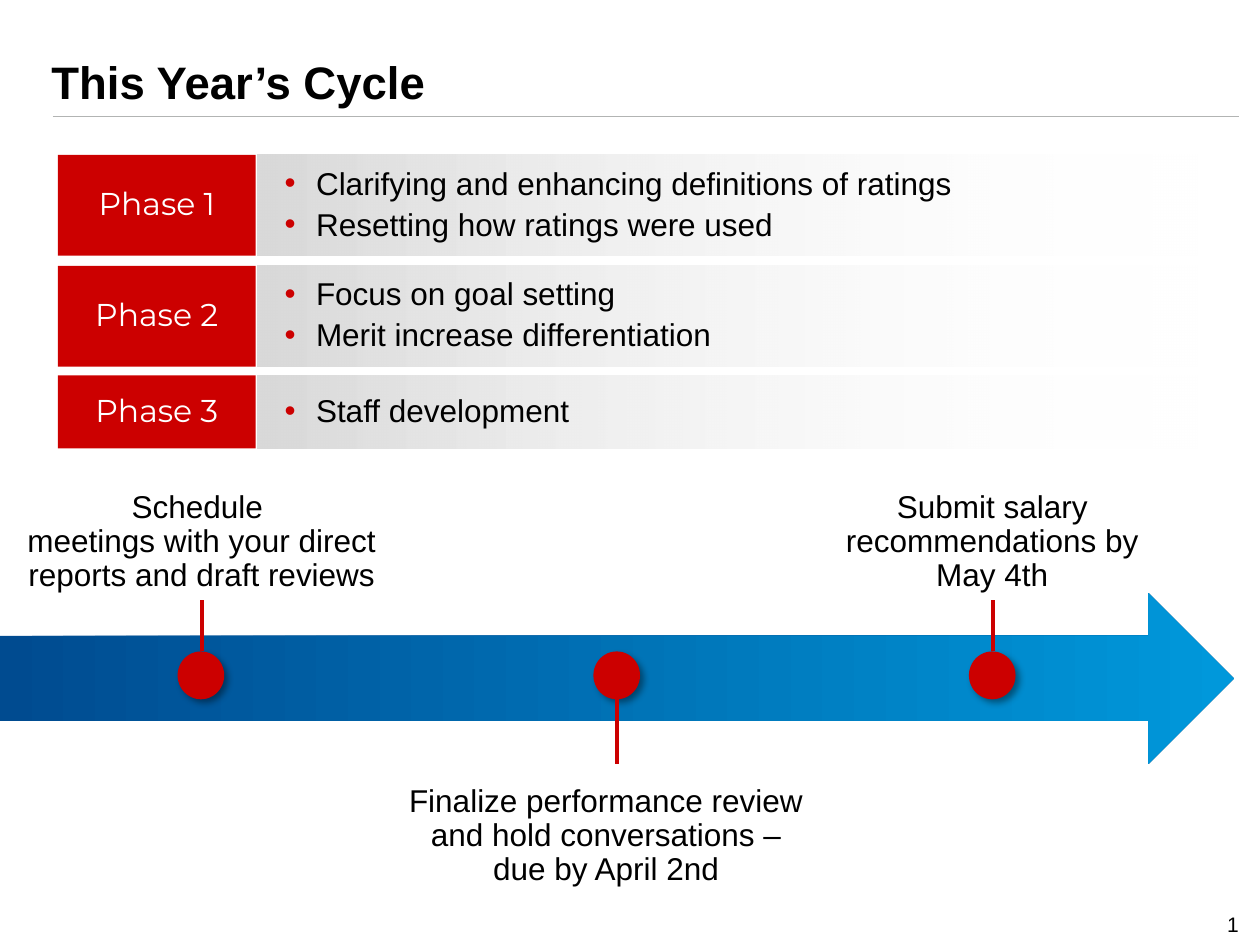
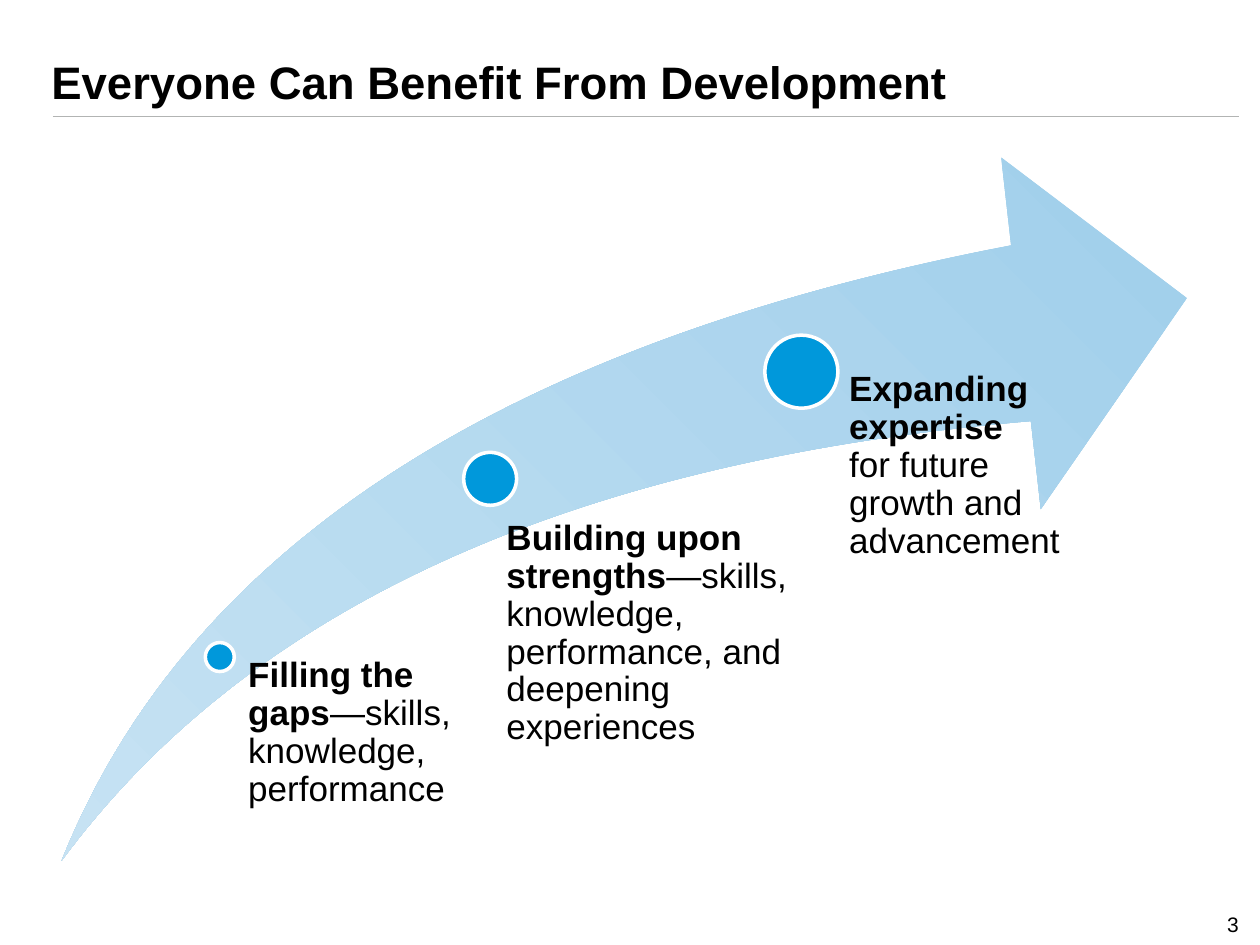
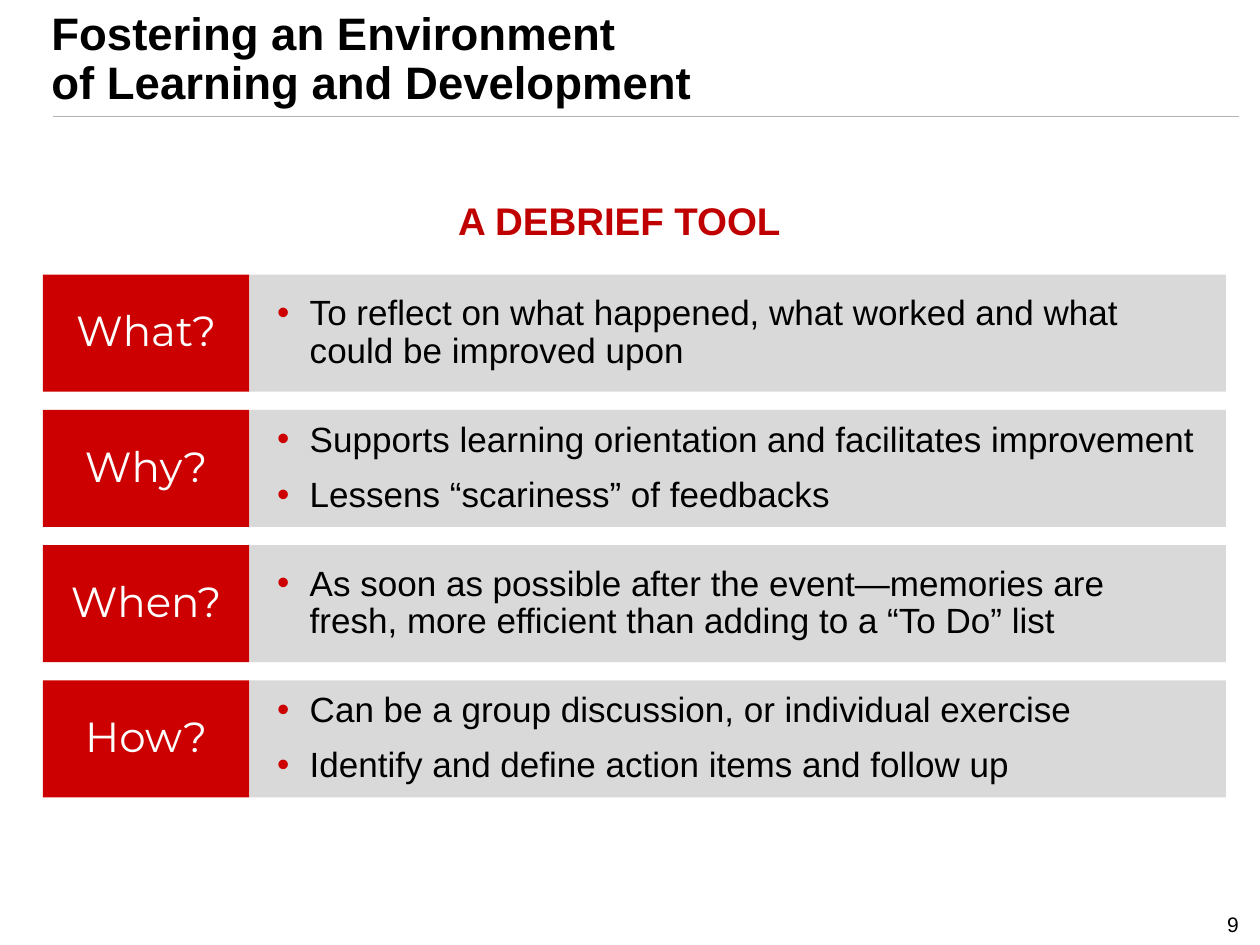
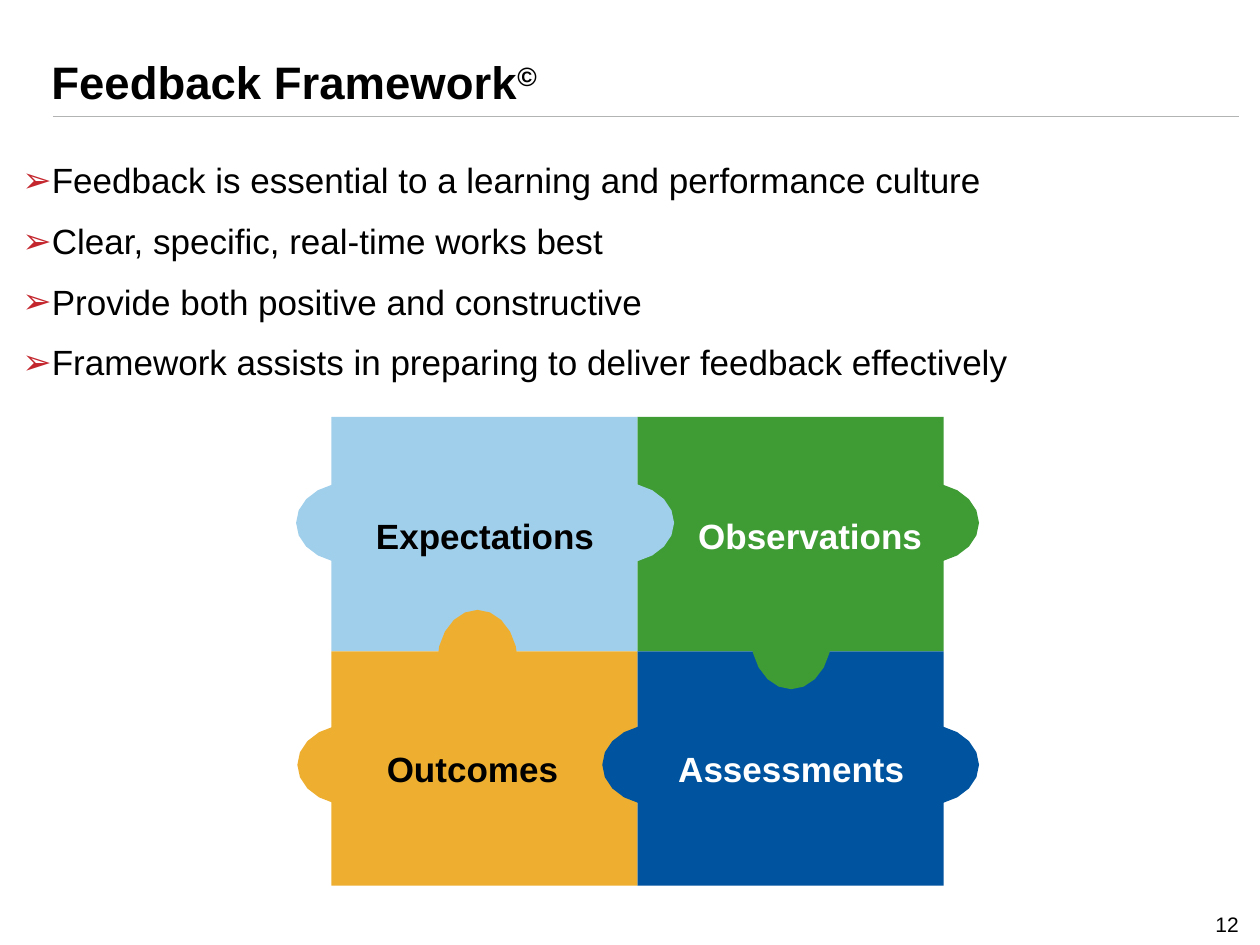
import math

from lxml import etree
from pptx import Presentation
from pptx.dml.color import RGBColor
from pptx.enum.shapes import MSO_CONNECTOR, MSO_SHAPE
from pptx.enum.text import MSO_ANCHOR, PP_ALIGN
from pptx.oxml.ns import qn
from pptx.util import Inches, Pt

RECTANGLE, OVAL = MSO_SHAPE.RECTANGLE, MSO_SHAPE.OVAL
RIGHT_ARROW, SWOOSH = MSO_SHAPE.RIGHT_ARROW, MSO_SHAPE.SWOOSH_ARROW
STRAIGHT = MSO_CONNECTOR.STRAIGHT
LEFT, CENTER, RIGHT = PP_ALIGN.LEFT, PP_ALIGN.CENTER, PP_ALIGN.RIGHT
TOP, MIDDLE, BOTTOM = MSO_ANCHOR.TOP, MSO_ANCHOR.MIDDLE, MSO_ANCHOR.BOTTOM

# Shared look
BLACK, WHITE = "000000", "FFFFFF"
RED, DARK_RED, BULLET_RED = "CC0000", "C00000", "C4262E"
GRAY, RULE_GRAY = "D9D9D9", "B2B4B3"
NAVY, BLUE, SKY, PALE_SKY = "004B90", "0098DB", "A0CFEB", "C6E2F3"
GREEN, ROYAL, AMBER = "3F9C35", "00549F", "EEAF30"
BODY_FONT, LABEL_FONT = "Arial", "Montserrat"
LINE_SPACING = 0.9


def rgb(color):
    return RGBColor.from_string(color)


def set_attributes(target, values):
    for name, value in values.items():
        setattr(target, name, value)


# Text
def add_run(paragraph, text, size, color=BLACK, bold=False, font=BODY_FONT, baseline=None):
    for index, line in enumerate(text.split("\n")):
        if index:
            paragraph.add_line_break()
        if line:
            run = paragraph.add_run()
            run.text = line
            set_attributes(run.font, {"name": font, "size": Pt(size), "bold": bold})
            run.font.color.rgb = rgb(color)
            if baseline:
                run.font._element.set("baseline", str(baseline * 1000))


def add_bullet(paragraph, character, color, left, hanging):
    properties = paragraph._p.get_or_add_pPr()
    properties.set("marL", str(Inches(left)))
    properties.set("indent", str(-Inches(hanging)))
    bullet_color = etree.SubElement(properties, qn("a:buClr"))
    etree.SubElement(bullet_color, qn("a:srgbClr"), val=color)
    etree.SubElement(properties, qn("a:buFont"), typeface=BODY_FONT)
    etree.SubElement(properties, qn("a:buChar"), char=character)


def write(shape, paragraphs, size, align=LEFT, anchor=TOP, space=0, bullet=None,
          left_inset=None, **run_format):
    """Each paragraph is a string or a list of (text, format) runs."""
    frame = shape.text_frame
    set_attributes(frame, {"word_wrap": True, "vertical_anchor": anchor})
    if left_inset is not None:
        set_attributes(frame, {"margin_left": Inches(left_inset), "margin_top": 0,
                               "margin_right": 0, "margin_bottom": 0})
    for index, content in enumerate(paragraphs):
        paragraph = frame.add_paragraph() if index else frame.paragraphs[0]
        set_attributes(paragraph, {"alignment": align, "line_spacing": LINE_SPACING,
                                   "space_before": Pt(space)})
        if bullet:
            add_bullet(paragraph, *bullet)
        runs = [(content, {})] if isinstance(content, str) else content
        for text, extra in runs:
            add_run(paragraph, text, size, **{**run_format, **extra})


def add_text(slide, box, paragraphs, size, **text_format):
    shape = slide.shapes.add_textbox(*map(Inches, box))
    write(shape, paragraphs, size, **text_format)


# Shapes
def paint(shape, fill, line=None):
    """A fill is None, one colour, or (start, end, angle) for a gradient."""
    shape.shadow.inherit = False
    if fill is None:
        shape.fill.background()
    elif isinstance(fill, str):
        shape.fill.solid()
        shape.fill.fore_color.rgb = rgb(fill)
    else:
        *colors, angle = fill
        shape.fill.gradient()
        shape.fill.gradient_angle = angle
        for stop, color in zip(shape.fill.gradient_stops, colors):
            stop.color.rgb = rgb(color)
    if line:
        shape.line.color.rgb = rgb(line)
        shape.line.width = Pt(2)
    else:
        shape.line.fill.background()


def add_shape(slide, kind, box, fill, line=None):
    shape = slide.shapes.add_shape(kind, *map(Inches, box))
    paint(shape, fill, line)
    return shape


def add_outline(slide, points, fill):
    corners = [(Inches(x), Inches(y)) for x, y in points]
    builder = slide.shapes.build_freeform(*corners[0])
    builder.add_line_segments(corners[1:], close=True)
    shape = builder.convert_to_shape()
    paint(shape, fill)
    return shape


def add_line(slide, start, end, color, width):
    line = slide.shapes.add_connector(STRAIGHT, *map(Inches, start + end))
    line.line.color.rgb = rgb(color)
    line.line.width = Pt(width)
    etree.SubElement(line._element.spPr, qn("a:effectLst"))


def fade_out(shape):
    last_color = list(shape._element.spPr.iter(qn("a:srgbClr")))[-1]
    etree.SubElement(last_color, qn("a:alpha"), val="0")


def add_drop_shadow(shape):
    effects = shape._element.spPr.find(qn("a:effectLst"))
    shadow = etree.SubElement(effects, qn("a:outerShdw"), blurRad=str(Pt(4)),
                              dist=str(Pt(3)), dir="2700000", algn="tl", rotWithShape="0")
    color = etree.SubElement(shadow, qn("a:srgbClr"), val=BLACK)
    etree.SubElement(color, qn("a:alpha"), val="40000")


def add_labeled_row(slide, top, height, label_span, panel_span, label, label_size,
                    points, size, space, indents, fill):
    """A span is (left, width)."""
    (label_left, label_width), (panel_left, panel_width) = label_span, panel_span
    label_box = add_shape(slide, RECTANGLE, (label_left, top, label_width, height), RED)
    write(label_box, [label], label_size, align=CENTER, anchor=MIDDLE,
          color=WHITE, font=LABEL_FONT)
    panel = add_shape(slide, RECTANGLE, (panel_left, top, panel_width, height), fill)
    write(panel, points, size, anchor=MIDDLE, space=space, bullet=("•", RED, *indents))
    return panel


def add_puzzle_tab(slide, center, facing, color):
    """Half an ellipse that bulges towards the facing angle, in degrees."""
    x, y = center
    depth, half_width, steps = 0.42, 0.32, 10
    turn = math.radians(facing)
    points = []
    for step in range(steps + 1):
        angle = math.pi * (step / steps - 0.5)
        along, across = depth * math.cos(angle), half_width * math.sin(angle)
        points.append((x + along * math.cos(turn) - across * math.sin(turn),
                       y + along * math.sin(turn) + across * math.cos(turn)))
    add_outline(slide, points, color)


# Frame of every slide
def add_slide(presentation, title, number):
    slide = presentation.slides.add_slide(presentation.slide_layouts[6])
    add_line(slide, (0.42, 0.92), (9.83, 0.92), RULE_GRAY, 0.25)
    add_text(slide, (0.31, 0.09, 9.5, 0.83), [title], 26, anchor=BOTTOM, bold=True)
    add_text(slide, (7.85, 7.16, 2.08, 0.33), [str(number)], 12, align=RIGHT, anchor=BOTTOM)
    return slide


# Slides
def build_cycle(presentation):
    slide = add_slide(presentation, "This Year’s Cycle", 1)
    phases = [
        (1.23, 0.8, ["Clarifying and enhancing definitions of ratings",
                     "Resetting how ratings were used"]),
        (2.11, 0.8, ["Focus on goal setting", "Merit increase differentiation"]),
        (2.98, 0.58, ["Staff development"]),
    ]
    for number, (top, height, points) in enumerate(phases, 1):
        panel = add_labeled_row(slide, top, height, (0.46, 1.57), (2.04, 7.5),
                                f"Phase {number}", 18, points, 18, 4, (0.37, 0.25),
                                (GRAY, WHITE, 0))
        fade_out(panel)

    # Timeline: marker centre, stem ends, label box, label
    add_shape(slide, RIGHT_ARROW, (0, 4.71, 9.79, 1.35), (NAVY, BLUE, 0))
    milestones = [
        (1.6, (5.17, 4.76), (0.09, 3.8, 3.02, 0.96),
         "Schedule \nmeetings with your direct reports and draft reviews"),
        (4.9, (6.06, 5.55), (3.11, 6, 3.4, 1.09),
         "Finalize performance review and hold conversations – due by April 2nd"),
        (7.88, (5.17, 4.76), (6.51, 3.8, 2.73, 0.96),
         "Submit salary recommendations by May 4th"),
    ]
    for x, (stem_start, stem_end), box, label in milestones:
        add_drop_shadow(add_shape(slide, OVAL, (x - 0.19, 5.17, 0.37, 0.38), RED))
        add_line(slide, (x, stem_start), (x, stem_end), RED, 2.25)
        add_text(slide, box, [label], 18, align=CENTER, anchor=BOTTOM)


def build_benefit(presentation):
    slide = add_slide(presentation, "Everyone Can Benefit From Development", 3)
    arrow = add_shape(slide, SWOOSH, (0.49, 1.25, 8.93, 5.58), (SKY, PALE_SKY, 225))
    arrow.adjustments[0] = arrow.adjustments[1] = 0.25
    # Dot position and size, text box, inset, bold part, plain part
    stages = [
        (1.63, 5.1, 0.23, (1.85, 5.22, 2.08, 1.61), 0.12,
         "Filling the gaps", "—skills, knowledge, performance"),
        (3.68, 3.59, 0.42, (3.8, 4.13, 2.6, 1.78), 0.22, "Building upon strengths",
         "—skills, knowledge, performance, and deepening experiences"),
        (6.07, 2.66, 0.58, (6.43, 2.95, 2.14, 3.88), 0.31,
         "Expanding expertise \n", "for future growth and advancement"),
    ]
    for left, top, diameter, (x, y, width, height), inset, lead, detail in stages:
        add_shape(slide, OVAL, (left, top, diameter, diameter), BLUE, WHITE)
        corners = [(x, y), (x + width, y), (x + width, y + height), (x, y + height)]
        write(add_outline(slide, corners, None), [[(lead, {"bold": True}), (detail, {})]],
              20, left_inset=inset)


def build_debrief(presentation):
    slide = add_slide(presentation, "Fostering an Environment \nof Learning and Development", 9)
    add_text(slide, (0.08, 1.56, 9.75, 0.42), ["A DEBRIEF TOOL "], 22,
             align=CENTER, color=DARK_RED, bold=True)
    questions = {
        "What?": ["To reflect on what happened, what worked and what \n"
                  "could be improved upon"],
        "Why?": ["Supports learning orientation and facilitates improvement",
                 "Lessens “scariness” of feedbacks"],
        "When?": ["As soon as possible after the event—memories are \n"
                  "fresh, more efficient than adding to a “To Do” list"],
        "How?": ["Can be a group discussion, or individual exercise",
                 "Identify and define action items and follow up"],
    }
    first_top, last_top = 2.18, 5.4
    pitch = (last_top - first_top) / (len(questions) - 1)
    for row, (question, points) in enumerate(questions.items()):
        add_labeled_row(slide, first_top + row * pitch, 0.93, (0.34, 1.64), (1.98, 7.75),
                        question, 24, points, 20, 10, (0.38, 0.26), GRAY)


def build_framework(presentation):
    title = [("Feedback Framework", {}), ("©", {"baseline": 30})]
    slide = add_slide(presentation, title, 12)
    points = [
        "Feedback is essential to a learning and performance culture",
        "Clear, specific, real-time works best",
        "Provide both positive and constructive",
        "Framework assists in preparing to deliver feedback effectively",
    ]
    add_text(slide, (0.08, 1.25, 9.58, 1.49), points, 20, space=13,
             bullet=("➢", BULLET_RED, 0.23, 0.23))

    # Puzzle: pieces on a 2 by 2 grid, then the tabs that overlap them
    left, top, width, height = 2.63, 3.31, 2.43, 1.86
    pieces = [(1, 0, GREEN), (0, 0, SKY), (1, 1, ROYAL), (0, 1, AMBER)]
    for column, row, color in pieces:
        add_shape(slide, RECTANGLE,
                  (left + column * width, top + row * height, width, height), color)
    to_right, to_bottom, to_left, to_top = 0, 90, 180, 270
    tabs = [
        ((7.35, 4.15), to_right, GREEN), ((4.93, 4.15), to_right, SKY),
        ((2.77, 4.15), to_left, SKY), ((7.35, 6.07), to_right, ROYAL),
        ((6.28, 5.05), to_bottom, GREEN), ((2.78, 6.07), to_left, AMBER),
        ((3.79, 5.26), to_top, AMBER), ((5.2, 6.07), to_left, ROYAL),
    ]
    for center, facing, color in tabs:
        add_puzzle_tab(slide, center, facing, color)
    labels = [
        ("Expectations", 2.81, 4.07, 2.08, BLACK), ("Observations", 5.39, 4.07, 2.08, WHITE),
        ("Assessments", 5.24, 5.92, 2.08, WHITE), ("Outcomes", 2.64, 5.92, 2.22, BLACK),
    ]
    for text, x, y, label_width, color in labels:
        add_text(slide, (x, y, label_width, 0.4), [text], 20, align=CENTER,
                 color=color, bold=True)


def main():
    presentation = Presentation()
    set_attributes(presentation, {"slide_width": Inches(10), "slide_height": Inches(7.5)})
    build_cycle(presentation)
    build_benefit(presentation)
    build_debrief(presentation)
    build_framework(presentation)
    presentation.save("out.pptx")


if __name__ == "__main__":
    main()
